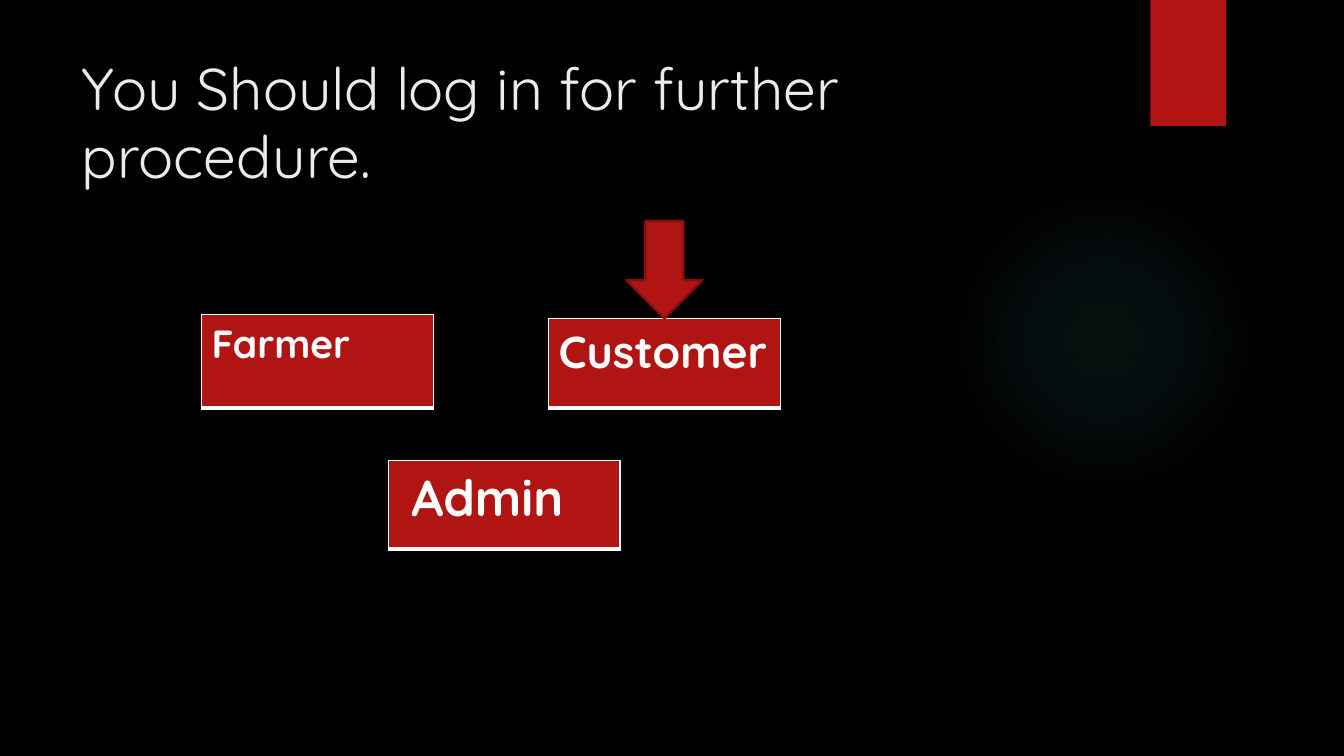
from pptx import Presentation
from pptx.dml.color import RGBColor
from pptx.enum.shapes import MSO_SHAPE as Preset
from pptx.enum.text import MSO_ANCHOR as Anchor, MSO_AUTO_SIZE as AutoSize, PP_ALIGN as Align
from pptx.oxml import parse_xml
from pptx.oxml.ns import nsdecls
from pptx.util import Inches, Pt

BLACK = RGBColor(0x00, 0x00, 0x00)
RED = RGBColor(0xB0, 0x15, 0x13)
DARK_RED = RGBColor(0x82, 0x10, 0x0E)
WHITE = RGBColor(0xFF, 0xFF, 0xFF)
PALE = RGBColor(0xEB, 0xEB, 0xEB)
TEAL = RGBColor(0x50, 0xB9, 0xC1)

ROLE_WIDTH = 17.25
ARROW_WIDTH, ARROW_HEIGHT = 5.7, 12.93
CUSTOMER_LEFT, CUSTOMER_TOP = 40.81, 42.13
# Role, left, top, height, text size, left margin in inches
ROLES = [
    ("Farmer", 15, 41.6, 12.4, 28, 0.1),
    ("Customer", CUSTOMER_LEFT, CUSTOMER_TOP, 11.87, 32, 0.1),
    ("Admin", 28.88, 60.93, 11.73, 36, 0.23),
]
BORDERS = {"lnL": 1, "lnR": 1, "lnT": 1, "lnB": 3}
GLOW_STOPS = [(0, 7), (36, 6), (69, 0)]


class LoginSlide:
    """Draws on one slide; all boxes are in percent of its width and height."""

    font = "Quicksand"

    def __init__(self, deck):
        self.deck = deck
        self.slide = deck.slides.add_slide(deck.slide_layouts[5])
        backdrop = self.slide.background.fill
        backdrop.solid()
        backdrop.fore_color.rgb = BLACK

    def box(self, left, top, width, height):
        across, down = self.deck.slide_width / 100, self.deck.slide_height / 100
        return [round(length) for length in
                (left * across, top * down, width * across, height * down)]

    def add_wording(self, paragraph, wording, size, color, bold=False):
        paragraph.alignment = Align.LEFT
        run = paragraph.add_run()
        run.text = wording
        font = run.font
        font.name, font.size, font.bold = self.font, Pt(size), bold
        font.color.rgb = color

    def title(self, wording, *area):
        heading = self.slide.shapes.title
        heading.left, heading.top, heading.width, heading.height = self.box(*area)
        frame = heading.text_frame
        frame.word_wrap = True
        frame.auto_size = AutoSize.NONE
        frame.vertical_anchor = Anchor.TOP
        paragraph = frame.paragraphs[0]
        paragraph.line_spacing = 0.97
        self.add_wording(paragraph, wording, 42, PALE)

    def shape(self, preset, *area, outline=None):
        drawn = self.slide.shapes.add_shape(preset, *self.box(*area))
        drawn.shadow.inherit = False
        drawn.fill.solid()
        drawn.fill.fore_color.rgb = RED
        if outline is None:
            drawn.line.fill.background()
        else:
            drawn.line.color.rgb = outline
            drawn.line.width = Pt(1.5)
        return drawn

    def glow(self, *area):
        """Adds a circle that fades from its centre to clear."""
        halo = self.shape(Preset.OVAL, *area)
        stops = "".join(
            f'<a:gs pos="{place * 1000}"><a:srgbClr val="{TEAL}">'
            f'<a:alpha val="{opacity * 1000}"/></a:srgbClr></a:gs>'
            for place, opacity in GLOW_STOPS)
        gradient = parse_xml(
            f'<a:gradFill {nsdecls("a")}><a:gsLst>{stops}</a:gsLst>'
            '<a:path path="circle"><a:fillToRect l="50000" t="50000" r="50000" b="50000"/>'
            '</a:path></a:gradFill>')
        properties = halo._element.spPr
        properties.replace(properties.find("{*}solidFill"), gradient)

    def role(self, wording, left, top, height, size, margin):
        table = self.slide.shapes.add_table(
            1, 1, *self.box(left, top, ROLE_WIDTH, height)).table
        cell = table.cell(0, 0)
        properties = cell._tc.get_or_add_tcPr()
        for side, width in BORDERS.items():
            properties.append(parse_xml(
                f'<a:{side} {nsdecls("a")} w="{Pt(width)}"><a:solidFill>'
                f'<a:srgbClr val="{WHITE}"/></a:solidFill></a:{side}>'))
        cell.fill.solid()
        cell.fill.fore_color.rgb = RED
        cell.margin_left = Inches(margin)
        cell.vertical_anchor = Anchor.TOP
        self.add_wording(cell.text_frame.paragraphs[0], wording, size, WHITE, bold=True)


def main():
    deck = Presentation()
    deck.slide_width, deck.slide_height = Inches(13.33), Inches(7.5)
    login = LoginSlide(deck)
    login.glow(70.59, 24.4, 23.11, 41.07)
    login.shape(Preset.RECTANGLE, 85.6, 0, 5.63, 16.67)
    login.title("You Should log in for further procedure.", 5.33, 6.67, 77.2, 20.4)
    for role in ROLES:
        login.role(*role)
    login.shape(Preset.DOWN_ARROW,
                CUSTOMER_LEFT + (ROLE_WIDTH - ARROW_WIDTH) / 2,
                CUSTOMER_TOP - ARROW_HEIGHT,
                ARROW_WIDTH, ARROW_HEIGHT, outline=DARK_RED)
    deck.save("out.pptx")


if __name__ == "__main__":
    main()
